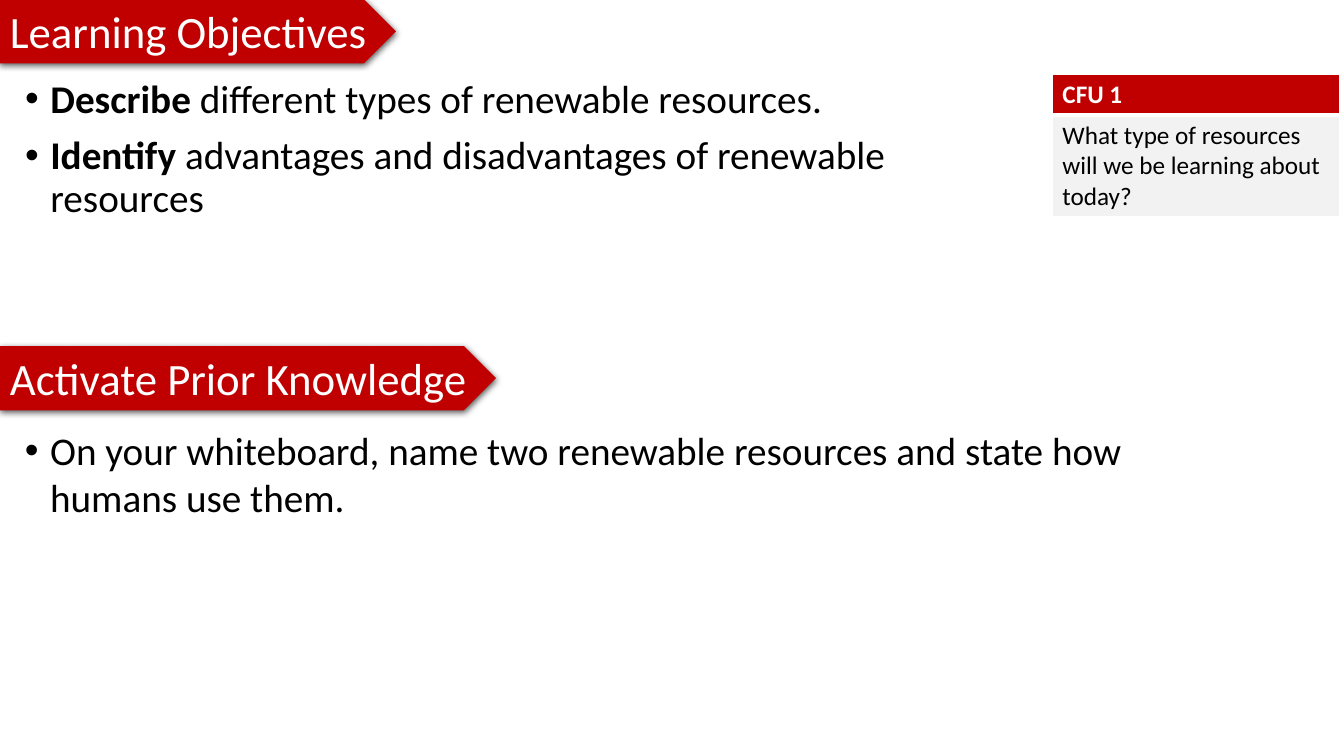
from lxml import etree
from pptx import Presentation
from pptx import util as u
from pptx.dml.color import RGBColor
from pptx.enum import shapes, text
from pptx.oxml import parse_xml
from pptx.oxml.ns import qn

NS = 'xmlns:a="http://schemas.openxmlformats.org/drawingml/2006/main"'
RED, GREY, WHITE, BLACK = "C00000", "F2F2F2", "FFFFFF", "000000"


def add_run(para, words, size, color, bold=False):
    run = para.add_run()
    run.text = words
    font = run.font
    font.name, font.size, font.bold = "Calibri", u.Pt(size), bold
    font.color.rgb = RGBColor.from_string(color)


def add_bullet(para):
    props = para._p.get_or_add_pPr()
    props.set("marL", str(u.Cm(0.635)))
    props.set("indent", str(u.Cm(-0.635)))
    etree.SubElement(props, qn("a:buFont")).set("typeface", "Arial")
    etree.SubElement(props, qn("a:buChar")).set("char", "•")


deck = Presentation()
deck.slide_width, deck.slide_height = u.Cm(33.87), u.Cm(19.05)
slide = deck.slides.add_slide(deck.slide_layouts[1])
title = slide.shapes.title
title.element.getparent().remove(title.element)

# Section banners
for words, top, width in [("Learning Objectives", -0.02, 9.98),
                          ("Activate Prior Knowledge", 8.72, 12.5)]:
    banner = slide.shapes.add_shape(shapes.MSO_SHAPE.PENTAGON, 0, u.Cm(top),
                                    u.Cm(width), u.Cm(1.62))
    banner.fill.solid()
    banner.fill.fore_color.rgb = RGBColor.from_string(RED)
    banner.line.fill.background()
    banner._element.spPr.append(parse_xml(
        f'<a:effectLst {NS}><a:outerShdw blurRad="57150" dist="19050" '
        f'dir="5400000" algn="ctr" rotWithShape="0"><a:srgbClr val="{BLACK}">'
        '<a:alpha val="63000"/></a:srgbClr></a:outerShdw></a:effectLst>'))
    frame = banner.text_frame
    frame.word_wrap = False
    frame.auto_size = text.MSO_AUTO_SIZE.SHAPE_TO_FIT_TEXT
    frame.vertical_anchor = text.MSO_ANCHOR.TOP
    para = frame.paragraphs[0]
    para.alignment = text.PP_ALIGN.LEFT
    add_run(para, words, 32, WHITE)

# Check for understanding
table = slide.shapes.add_table(2, 1, u.Cm(26.52), u.Cm(1.88),
                               u.Cm(7.24), u.Cm(3.56)).table
rows = [("CFU 1", RED, WHITE, True, 1.0, {"L": 1, "R": 1, "T": 1, "B": 3}),
        ("What type of resources will we be learning about today?",
         GREY, BLACK, False, 2.56, {"L": 1, "R": 1, "T": 3, "B": 1})]
for i, (words, fill, color, bold, height, edges) in enumerate(rows):
    table.rows[i].height = u.Cm(height)
    cell = table.cell(i, 0)
    props = cell._tc.get_or_add_tcPr()
    for side, width in edges.items():
        props.append(parse_xml(
            f'<a:ln{side} {NS} w="{u.Pt(width)}"><a:solidFill>'
            f'<a:srgbClr val="{WHITE}"/></a:solidFill></a:ln{side}>'))
    cell.fill.solid()
    cell.fill.fore_color.rgb = RGBColor.from_string(fill)
    add_run(cell.text_frame.paragraphs[0], words, 18, color, bold)

# Objectives
body = slide.placeholders[1]
body.left, body.top = u.Cm(0.38), u.Cm(1.88)
body.width, body.height = u.Cm(26.26), u.Cm(6.55)
frame = body.text_frame
goals = [("Describe ", "different types of renewable resources."),
         ("Identify ", "advantages and disadvantages of renewable resources")]
for i, (verb, rest) in enumerate(goals):
    para = frame.add_paragraph() if i else frame.paragraphs[0]
    add_bullet(para)
    para.line_spacing = 0.9
    para.space_before = u.Pt(10 if i else 0)
    add_run(para, verb, 28, BLACK, True)
    add_run(para, rest, 28, BLACK)

# Prior knowledge task
task = slide.shapes.add_textbox(u.Cm(0.38), u.Cm(10.62), u.Cm(29.21), u.Cm(2.64))
frame = task.text_frame
frame.word_wrap = True
frame.auto_size = text.MSO_AUTO_SIZE.SHAPE_TO_FIT_TEXT
para = frame.paragraphs[0]
add_bullet(para)
add_run(para, "On your whiteboard, name two renewable resources and state how "
        "humans use them.", 28, BLACK)

deck.save("out.pptx")
